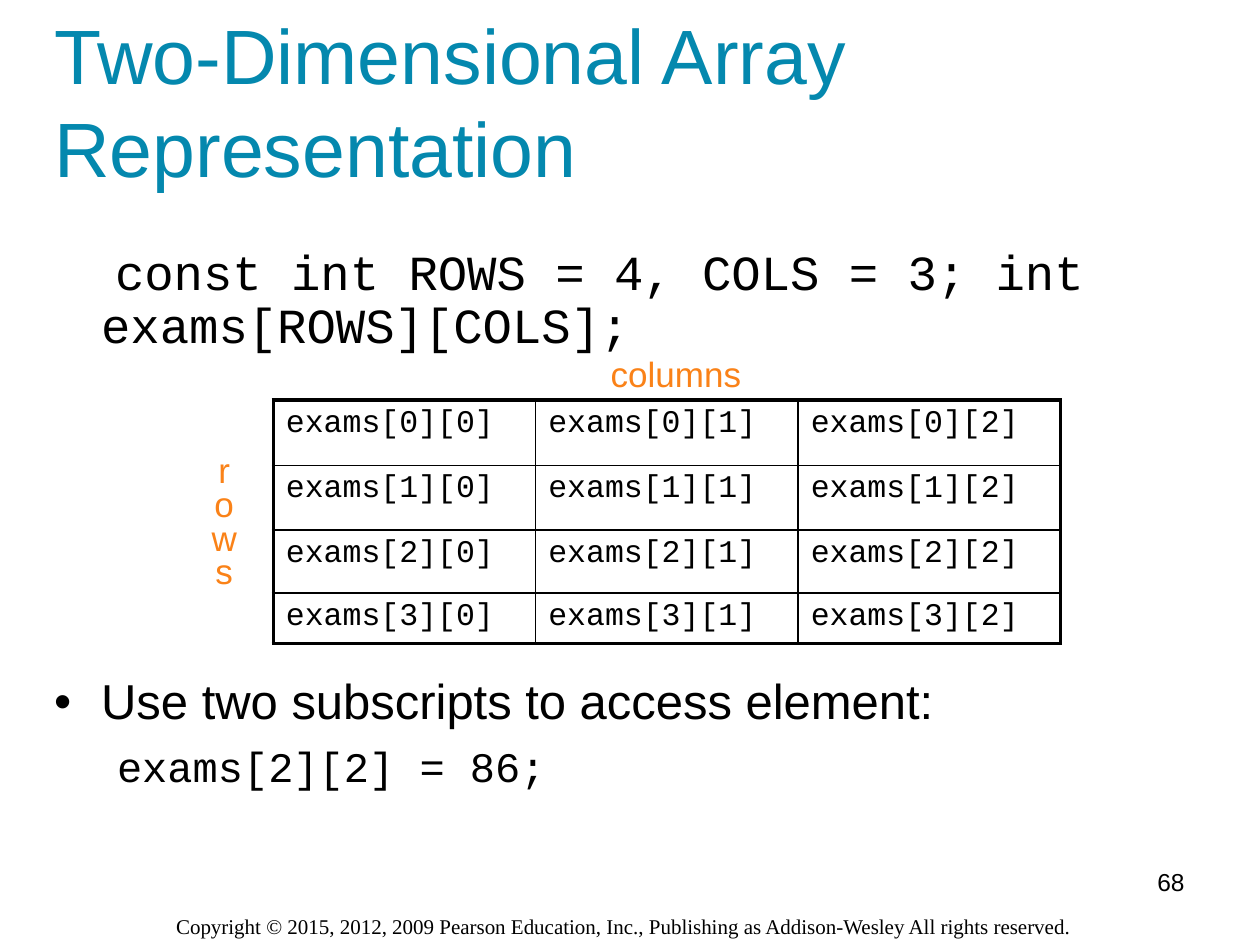
"""Build the slide on how a two-dimensional array is laid out."""
from lxml import etree
from pptx import Presentation
from pptx import util as u
from pptx.dml.color import RGBColor
from pptx.enum import text as t
from pptx.oxml import ns

HUES = {"ink": "000000", "title": "0488AE", "label": "FA8218"}
SANS, MONO, SERIF = "Arial", "Courier New", "Times New Roman"


class Deck:
    def __init__(self):
        self.prs = Presentation()
        self.prs.slide_width, self.prs.slide_height = u.Cm(25.4), u.Cm(19.05)
        self.slide = self.prs.slides.add_slide(self.prs.slide_layouts[5])

    def style(self, para, size, face=SANS, hue="ink", align=t.PP_ALIGN.LEFT):
        para.alignment = align
        font = para.font
        font.size, font.name = u.Pt(size), face
        font.color.rgb = RGBColor.from_string(HUES[hue])

    def title(self, words, box):
        shape = self.slide.shapes.title
        shape.left, shape.top, shape.width, shape.height = map(u.Cm, box)
        frame = shape.text_frame
        frame.text = words
        frame.auto_size = t.MSO_AUTO_SIZE.NONE
        frame.vertical_anchor = t.MSO_ANCHOR.MIDDLE
        self.style(frame.paragraphs[0], 44, hue="title")

    def text(self, lines, box, size, wrap=True, space=None, **look):
        frame = self.slide.shapes.add_textbox(*map(u.Cm, box)).text_frame
        frame.word_wrap = wrap
        frame.text = "\n".join(lines)
        for para in frame.paragraphs:
            para.line_spacing = space
            self.style(para, size, **look)

    def body(self, items, box, inset):
        frame = self.slide.shapes.add_textbox(*map(u.Cm, box)).text_frame
        frame.word_wrap, frame.margin_top = True, u.Cm(inset)
        frame.text = "\n".join(item[0] for item in items)
        for para, (_, size, face, left, first, gap, mark) in zip(frame.paragraphs, items):
            prop = para._p.get_or_add_pPr()
            prop.set("marL", str(u.Cm(left)))
            prop.set("indent", str(u.Cm(first)))
            if mark:
                etree.SubElement(prop, ns.qn("a:buFont"), typeface=SANS)
                etree.SubElement(prop, ns.qn("a:buChar"), char=mark)
            para.line_spacing, para.space_before = 0.9, u.Pt(gap)
            self.style(para, size, face)

    def edge(self, cell, side, width):
        prop = cell._tc.get_or_add_tcPr()
        line = etree.SubElement(prop, ns.qn("a:ln" + side), w=str(u.Pt(width)))
        fill = etree.SubElement(line, ns.qn("a:solidFill"))
        etree.SubElement(fill, ns.qn("a:srgbClr"), val=HUES["ink"])

    def table(self, name, left, top, wide, highs, cols):
        rows = len(highs)
        grid = self.slide.shapes.add_table(
            rows, cols, u.Cm(left), u.Cm(top), u.Cm(wide * cols), u.Cm(sum(highs))).table
        grid.first_row = grid.horz_banding = False
        for col in grid.columns:
            col.width = u.Cm(wide)
        for r, high in enumerate(highs):
            grid.rows[r].height = u.Cm(high)
            for c in range(cols):
                cell = grid.cell(r, c)
                cell.text = f"{name}[{r}][{c}]"
                self.style(cell.text_frame.paragraphs[0], 18, MONO)
                outer = {"L": c == 0, "R": c == cols - 1, "T": r == 0, "B": r == rows - 1}
                for side, thick in outer.items():
                    self.edge(cell, side, 2.25 if thick else 1)
                cell.fill.background()


def main():
    deck = Deck()
    deck.text(["Copyright © 2015, 2012, 2009 Pearson Education, Inc., "
               "Publishing as Addison-Wesley All rights reserved."],
              (3.3, 18.29, 18.85, 0.76), 12, face=SERIF, wrap=False)
    deck.title("Two-Dimensional Array Representation", (0.84, 0.43, 21.59, 3.18))
    deck.body([
        ("const int ROWS = 4, COLS = 3; int exams[ROWS][COLS];", 28, MONO, 0.95, 0.28, 0, ""),
        ("Use two subscripts to access element:", 28, SANS, 0.95, -0.95, 185, "•"),
        ("exams[2][2] = 86;", 24, MONO, 2.06, -0.79, 9, ""),
    ], (0.84, 3.61, 21.59, 13.54), 1.39)
    deck.table("exams", 5.51, 8.06, 5.29, (1.32, 1.3, 1.27, 1.02), 3)
    deck.text(["columns"], (12.06, 6.99, 3.15, 1.09), 20, wrap=False, hue="label")
    deck.text("rows", (4.01, 9.09, 1.02, 2.97), 20, wrap=False, space=0.8,
              hue="label", align=t.PP_ALIGN.CENTER)
    deck.text(["68"], (18.21, 17.35, 5.92, 1.32), 14, align=t.PP_ALIGN.RIGHT)
    deck.prs.save("out.pptx")


if __name__ == "__main__":
    main()
